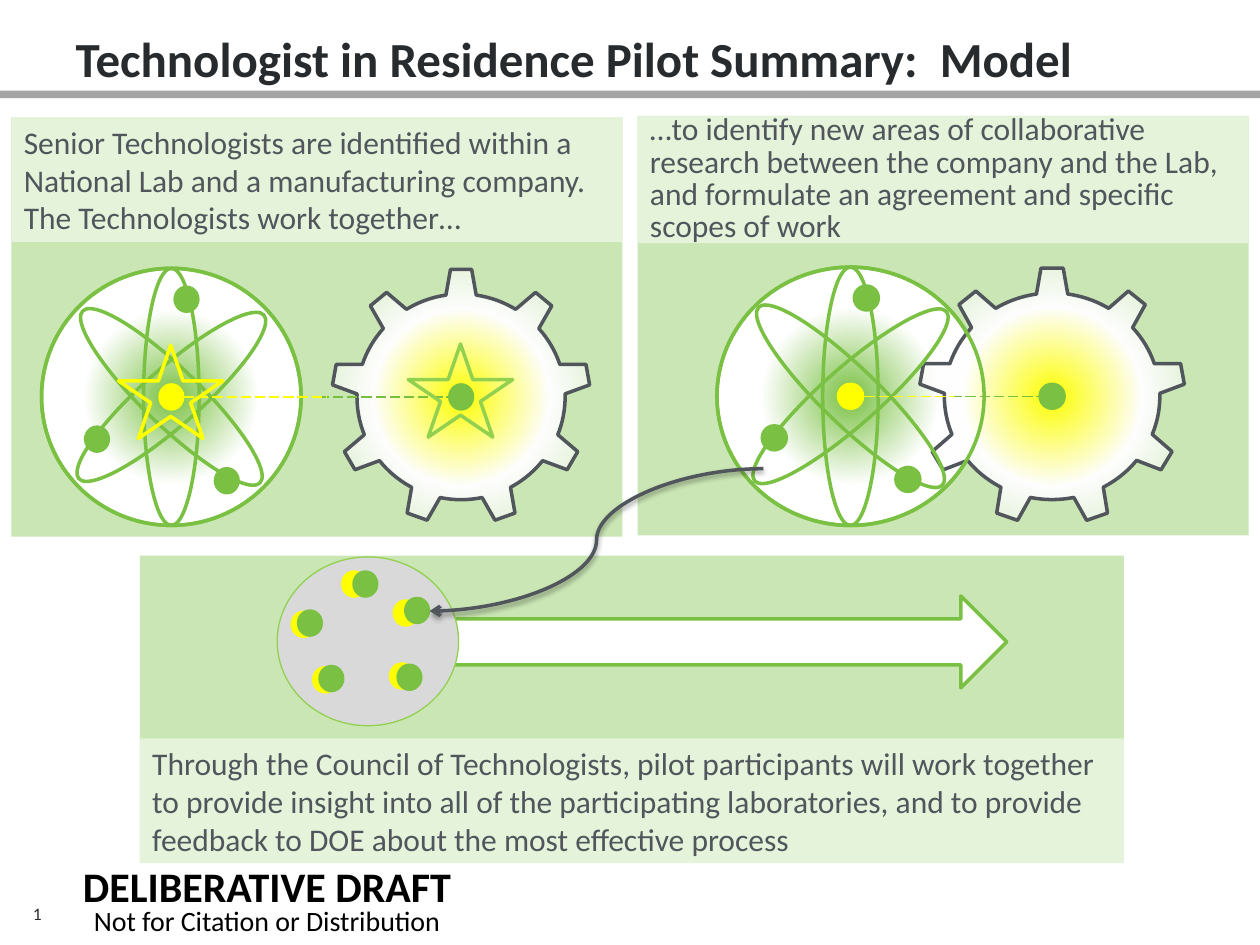
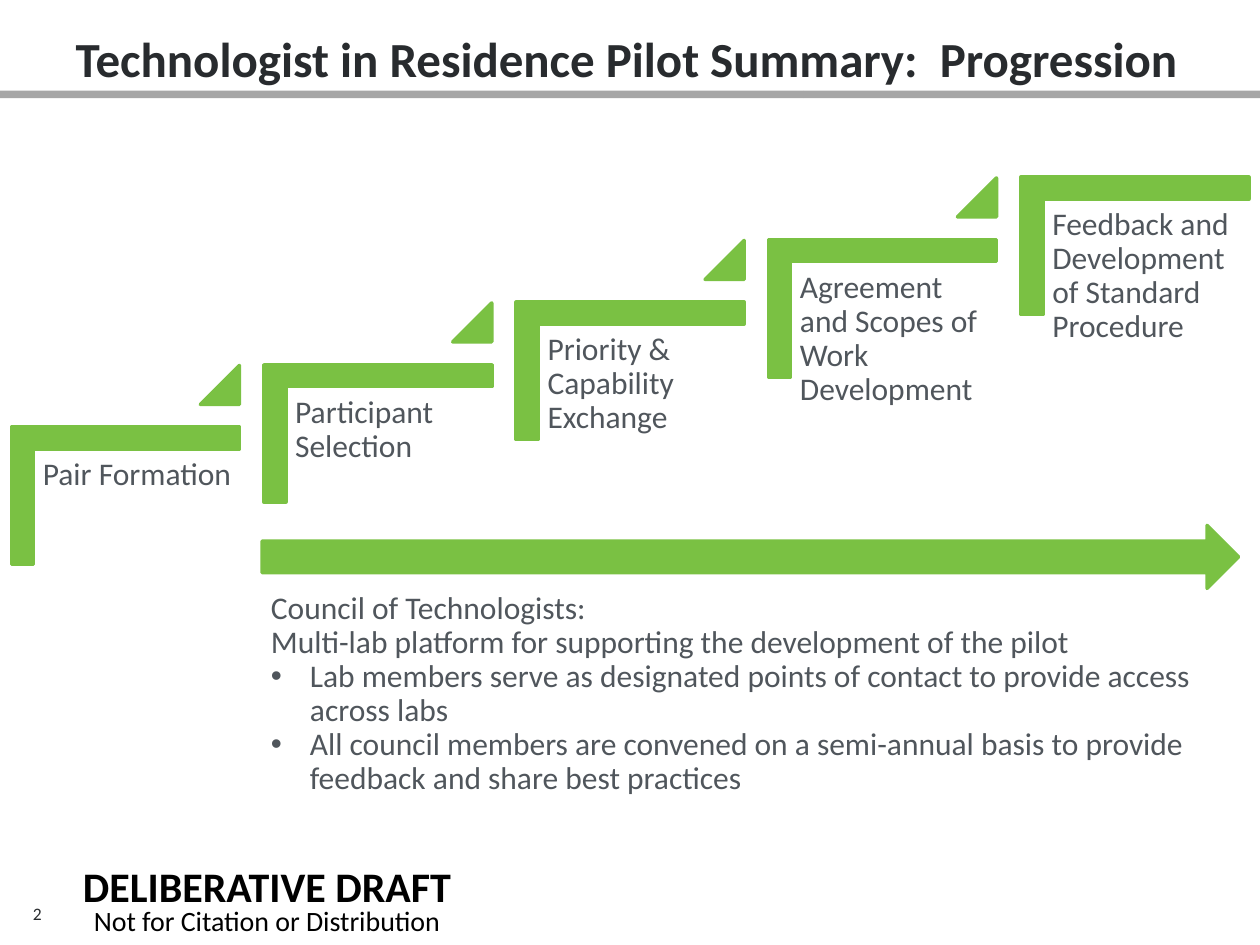
"""Build the two Technologist in Residence pilot slides."""
from dataclasses import dataclass

from lxml.etree import SubElement
from pptx import Presentation
from pptx.dml.color import RGBColor
from pptx.enum.dml import MSO_LINE
from pptx.enum.shapes import MSO_CONNECTOR, MSO_SHAPE
from pptx.enum.text import MSO_ANCHOR, MSO_AUTO_SIZE, PP_ALIGN
from pptx.oxml.ns import qn
from pptx.util import Pt

PX = 9144


@dataclass(frozen=True)
class Theme:
    font: str = "Calibri"
    green: str = "7AC143"
    dash_green: str = "77C03E"
    lime: str = "92D050"
    yellow: str = "FFFF00"
    panel: str = "CAE6B4"
    caption: str = "E4F3D9"
    white: str = "FFFFFF"
    pale_grey: str = "D9D9D9"
    band: str = "A6A6A6"
    slate: str = "50565C"
    heading: str = "282B2E"
    black: str = "000000"
    title_size: int = 28
    draft_size: int = 24
    body_size: int = 18
    notice_size: int = 16
    number_size: int = 10
    stroke: float = 2
    hairline: float = 0.75


THEME = Theme()

TITLES = ["Technologist in Residence Pilot Summary:  Model",
          "Technologist in Residence Pilot Summary:  Progression"]
DRAFT_NOTICE = ["DELIBERATIVE DRAFT", "Not for Citation or Distribution"]
BAND_EDGES = [0, 500, 638, 1000]

PANELS = [
    {"panel": (9, 93, 485, 333), "caption": (9, 93, 485, 99), "spacing": None,
     "lines": ["Senior Technologists are identified within a National Lab and a "
               "manufacturing company.", "The Technologists work together…"]},
    {"panel": (506, 92, 485, 333), "caption": (506, 92, 485, 101), "spacing": 0.85,
     "lines": ["…to identify new areas of collaborative research between the company "
               "and the Lab, and formulate an agreement and specific scopes of work"]},
    {"panel": (111, 441, 781, 242), "caption": (111, 586, 781, 99), "spacing": None,
     "lines": ["Through the Council of Technologists, pilot participants will work "
               "together to provide insight into all of the participating laboratories, "
               "and to provide feedback to DOE about the most effective process"]},
]
PARTNERS = [
    {"atom": (569, 212, 212, 205), "gear_left": 729, "dot": 19, "orbit": (45, 203),
     "yellow_dash": (686, 757), "green_dash": (755, 825)},
    {"atom": (33, 213, 206, 204), "gear_left": 263, "dot": 18, "orbit": (45, 196),
     "yellow_dash": (146, 259), "green_dash": (253, 357)},
]
ELECTRON_OFFSETS = [(106, 15), (35, 126), (138, 159)]
ORBIT_ANGLES = [48.5, 134.1]
STARS = [(94, 274, THEME.yellow), (324, 273, THEME.lime)]
COUNCIL_PAIRS = [((272, 454), (281, 454)), ((232, 486), (237, 485)),
                 ((249, 530), (254, 529)), ((310, 527), (316, 528)),
                 ((313, 477), (322, 475))]

STEPS = ["Pair Formation", "Participant Selection", "Priority & Capability Exchange",
         "Agreement and Scopes of Work Development",
         "Feedback and Development of Standard Procedure"]
STEP_START, STEP_SHIFT = (45, 303), (200.3, -49.6)
COUNCIL_LINES = [
    ("Council of Technologists:", False),
    ("Multi-lab platform for supporting the development of the pilot", False),
    ("Lab members serve as designated points of contact to provide access across labs", True),
    ("All council members are convened on a semi-annual basis to provide feedback and "
     "share best practices", True),
]


def emu(*lengths):
    return [round(length * PX) for length in lengths]


def place(shape, area):
    shape.left, shape.top, shape.width, shape.height = emu(*area)


def add_figure(page, kind, area, fill=None, line=None, width=THEME.stroke, angle=0):
    shape = page.shapes.add_shape(kind, *emu(*area))
    shape.shadow.inherit = False
    shape.rotation = angle
    if fill:
        shape.fill.solid()
        shape.fill.fore_color.rgb = RGBColor.from_string(fill)
    else:
        shape.fill.background()
    if line:
        shape.line.color.rgb = RGBColor.from_string(line)
        shape.line.width = Pt(width)
    else:
        shape.line.fill.background()
    return shape


def add_dot(page, left, top, size, color):
    add_figure(page, MSO_SHAPE.OVAL, (left, top, size, 19), color, color)


def add_centred_oval(page, center, size, fill=None, angle=0):
    left, top = center[0] - size[0] / 2, center[1] - size[1] / 2
    add_figure(page, MSO_SHAPE.OVAL, (left, top, *size), fill, fill or THEME.green, angle=angle)


def fill_radial(shape, core, edge_alpha):
    shape.fill.gradient()
    gradient = shape._element.spPr.find(qn("a:gradFill"))
    for child in list(gradient):
        gradient.remove(child)
    stops = SubElement(gradient, qn("a:gsLst"))
    for position, color, alpha in [(0, core, 100), (48, THEME.white, 100),
                                   (100, THEME.white, edge_alpha)]:
        stop = SubElement(stops, qn("a:gs"), pos=str(position * 1000))
        tint = SubElement(stop, qn("a:srgbClr"), val=color)
        if alpha < 100:
            SubElement(tint, qn("a:alpha"), val=str(alpha * 1000))
    circle = SubElement(gradient, qn("a:path"), path="circle")
    SubElement(circle, qn("a:fillToRect"), l="50000", t="50000", r="50000", b="50000")


def add_link(page, kind, start, end, color, width):
    link = page.shapes.add_connector(kind, *emu(*start, *end))
    link.line.color.rgb = RGBColor.from_string(color)
    link.line.width = Pt(width)
    effects = SubElement(link._element.spPr, qn("a:effectLst"))
    return link, effects


def style_font(font, size, color, bold=False):
    font.name, font.size, font.bold = THEME.font, Pt(size), bold
    font.color.rgb = RGBColor.from_string(color)


def write(shape, lines, size=THEME.body_size, color=THEME.slate, bold=False, spacing=None,
          align=PP_ALIGN.LEFT, anchor=MSO_ANCHOR.MIDDLE, inset=None):
    frame = shape.text_frame
    frame.text = "\n".join(lines)
    frame.word_wrap = True
    frame.auto_size = MSO_AUTO_SIZE.NONE
    frame.vertical_anchor = anchor
    if inset is not None:
        frame.margin_left = frame.margin_top = frame.margin_right = frame.margin_bottom = inset * PX
    for para in frame.paragraphs:
        para.alignment, para.line_spacing = align, spacing
        for span in para.runs:
            style_font(span.font, size, color, bold)
    return frame


def add_text(page, area, lines, **style):
    box = page.shapes.add_textbox(*emu(*area))
    return write(box, lines, **style)


def add_page_number(page, number):
    frame = add_text(page, (5, 714, 49, 26), [str(number)], size=THEME.number_size,
                     color=THEME.heading, align=PP_ALIGN.CENTER, anchor=MSO_ANCHOR.TOP,
                     spacing=0.9)
    run = frame.paragraphs[0].runs[0]._r
    run.tag = qn("a:fld")
    run.set("id", "{B6F15528-21DE-4FAA-801E-634DDDAF4B2B}")
    run.set("type", "slidenum")


def start_page(deck, layout_index, number):
    page = deck.slides.add_slide(deck.slide_layouts[layout_index])
    for left, right in zip(BAND_EDGES, BAND_EDGES[1:]):
        add_figure(page, MSO_SHAPE.RECTANGLE, (left, 72, right - left, 6), THEME.band)
    add_page_number(page, number)
    notice = add_text(page, (-42, 692, 508, 50), DRAFT_NOTICE, size=THEME.draft_size,
                      color=THEME.black, bold=True, spacing=0.8, align=PP_ALIGN.CENTER)
    style_font(notice.paragraphs[1].runs[0].font, THEME.notice_size, THEME.black)
    title = page.shapes.title
    place(title, (50, 0, 900, 100))
    write(title, [TITLES[number - 1]], size=THEME.title_size, color=THEME.heading, bold=True,
          spacing=Pt(THEME.title_size))
    return page


def add_panel(page, panel):
    add_figure(page, MSO_SHAPE.RECTANGLE, panel["panel"], THEME.panel)
    caption = add_figure(page, MSO_SHAPE.RECTANGLE, panel["caption"], THEME.caption)
    write(caption, panel["lines"], spacing=panel["spacing"])


def add_partners(page, partners):
    left, top, width, height = partners["atom"]
    gear_left, dot = partners["gear_left"], partners["dot"]
    middle = top + height / 2
    center = (left + width / 2, middle)
    disc = add_figure(page, MSO_SHAPE.OVAL, partners["atom"], line=THEME.green)
    fill_radial(disc, THEME.green, 100)
    gear = add_figure(page, MSO_SHAPE.GEAR_9, (gear_left, top, width, height), line=THEME.slate)
    fill_radial(gear, THEME.yellow, 0)
    add_centred_oval(page, center, (width, height))
    add_centred_oval(page, center, (dot, 19), THEME.yellow)
    for angle in ORBIT_ANGLES:
        add_centred_oval(page, center, partners["orbit"], angle=angle)
    add_centred_oval(page, center, (44, height))
    for across, down in ELECTRON_OFFSETS:
        add_dot(page, left + across * width / 206, top + down, dot, THEME.green)
    add_centred_oval(page, (gear_left + width / 2, middle), (dot, 19), THEME.green)
    for key, color in [("green_dash", THEME.dash_green), ("yellow_dash", THEME.yellow)]:
        start, end = partners[key]
        link, _ = add_link(page, MSO_CONNECTOR.STRAIGHT, (start, middle), (end, middle),
                           color, THEME.hairline)
        link.line.dash_style = MSO_LINE.LONG_DASH


def add_council(page):
    add_figure(page, MSO_SHAPE.RIGHT_ARROW, (357, 473, 442, 73), THEME.white, THEME.green)
    add_figure(page, MSO_SHAPE.OVAL, (220, 442, 144, 134), THEME.pale_grey, THEME.lime,
               THEME.hairline)
    for lab, company in COUNCIL_PAIRS:
        add_dot(page, *lab, 18, THEME.yellow)
        add_dot(page, *company, 18, THEME.green)
    link, effects = add_link(page, MSO_CONNECTOR.CURVE, (606, 372), (341, 485),
                             THEME.slate, THEME.stroke)
    SubElement(link.line._get_or_add_ln(), qn("a:tailEnd"), type="arrow")
    shadow = SubElement(effects, qn("a:outerShdw"), blurRad=str(Pt(3.1)), dist=str(Pt(1.6)),
                        dir="5400000", rotWithShape="0")
    tint = SubElement(shadow, qn("a:srgbClr"), val=THEME.black)
    SubElement(tint, qn("a:alpha"), val="38000")


def build_model(deck):
    page = start_page(deck, 5, 1)
    for panel in PANELS:
        add_panel(page, panel)
    for partners in PARTNERS:
        add_partners(page, partners)
    for left, top, color in STARS:
        add_figure(page, MSO_SHAPE.STAR_5_POINT, (left, top, 83, 74), line=color)
    add_council(page)


def add_step(page, index, label):
    left, top = [start + index * shift for start, shift in zip(STEP_START, STEP_SHIFT)]
    corner = add_figure(page, MSO_SHAPE.CORNER, (left, top, 109, 181), THEME.green,
                        THEME.green, angle=90)
    corner.adjustments[0] = corner.adjustments[1] = 0.16
    add_text(page, (left - 18, top + 54, 164, 143), [label], spacing=0.9,
             anchor=MSO_ANCHOR.TOP, inset=7)
    if index < len(STEPS) - 1:
        rise = add_figure(page, MSO_SHAPE.ISOSCELES_TRIANGLE, (left + 114, top - 13, 31, 31),
                          THEME.green, THEME.green)
        rise.adjustments[0] = 1


def build_progression(deck):
    page = start_page(deck, 1, 2)
    for index, label in enumerate(STEPS):
        add_step(page, index, label)
    add_figure(page, MSO_SHAPE.RIGHT_ARROW, (208, 417, 775, 50), THEME.green, THEME.green)
    body = page.placeholders[1]
    place(body, (208, 463, 750, 143))
    frame = write(body, [text for text, _ in COUNCIL_LINES], spacing=0.9,
                  anchor=MSO_ANCHOR.TOP, inset=7)
    for para, (_, bulleted) in zip(frame.paragraphs, COUNCIL_LINES):
        indent = 31 * PX if bulleted else 0
        properties = para._p.get_or_add_pPr()
        properties.set("marL", str(indent))
        properties.set("indent", str(-indent))
        para.space_before = Pt(0)
        if bulleted:
            SubElement(properties, qn("a:buFont"), typeface="Arial")
            SubElement(properties, qn("a:buChar"), char="•")
        else:
            SubElement(properties, qn("a:buNone"))


def main():
    deck = Presentation()
    deck.slide_width, deck.slide_height = emu(1000, 750)
    build_model(deck)
    build_progression(deck)
    deck.save("out.pptx")


if __name__ == "__main__":
    main()
